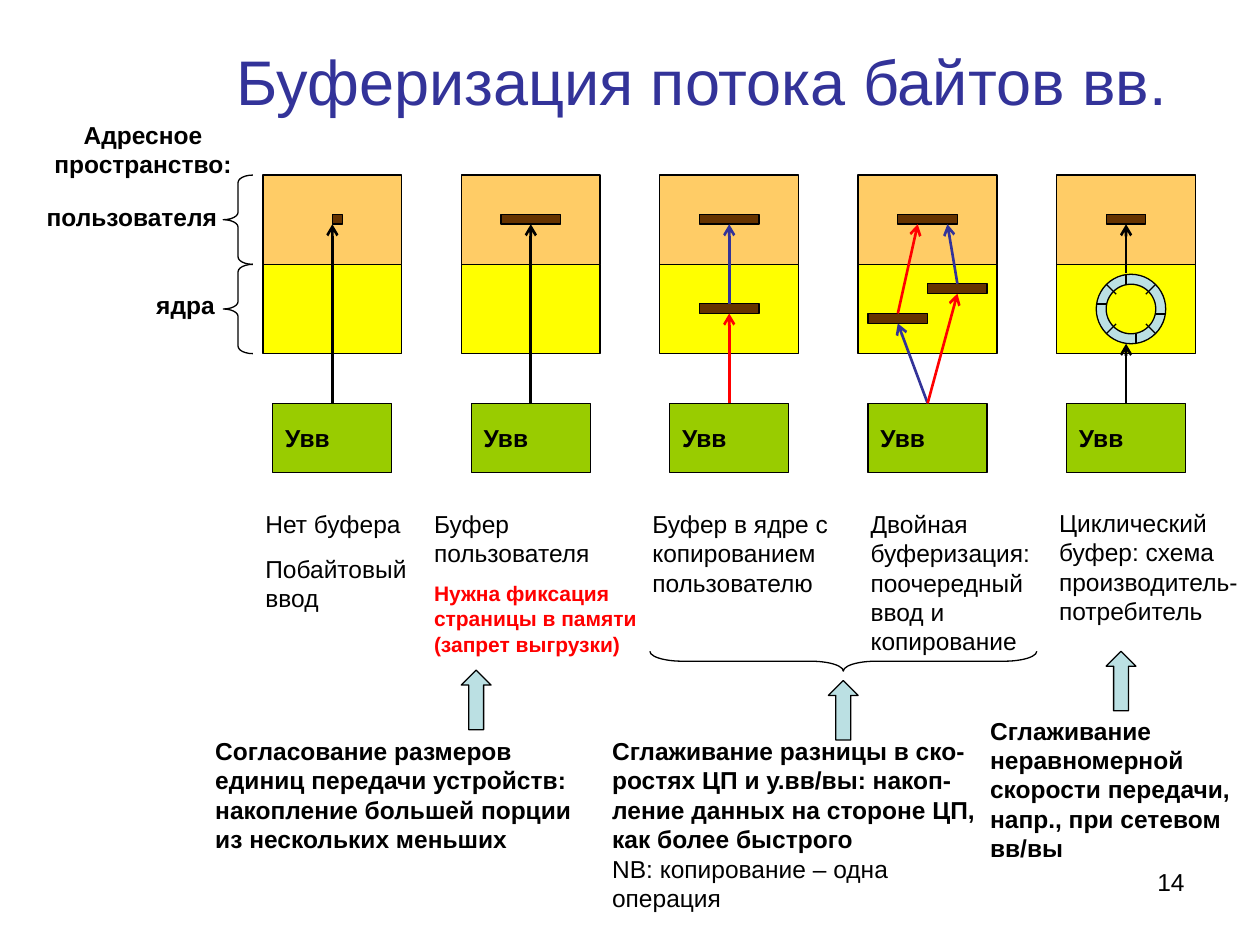
import pptx
import pptx.util
import pptx.dml.color
import pptx.enum.shapes
import pptx.enum.text
import pptx.oxml.ns
import lxml.etree

Cm, Pt = pptx.util.Cm, pptx.util.Pt
SHAPE = pptx.enum.shapes.MSO_SHAPE
ALIGN = pptx.enum.text.PP_ALIGN

THEME = {
    "font": "Arial", "title_size": 36, "text_size": 14, "note_size": 12,
    "title": "333399", "text": "000000", "line": "000000", "warning": "FF0000",
    "user": "FFCC66", "kernel": "FFFF00", "buffer": "663300",
    "device": "99CC00", "accent": "BBE0E3", "first": "FF0000", "second": "333399",
    "thin": 0.75, "thick": 1.5,
}

TITLE = "Буферизация потока байтов вв."
DEVICE = "Увв"
SLIDE_NUMBER = "14"

COLUMNS, FIRST_CENTER, COLUMN_STEP = 5, 6.7, 4
SPACE_WIDTH, SPACE_HEIGHT = 2.8, 1.8
USER_TOP = 3.53
KERNEL_TOP = USER_TOP + SPACE_HEIGHT
DEVICE_TOP, DEVICE_WIDTH, DEVICE_HEIGHT = 8.13, 2.4, 1.4
BUFFER_TOP, BUFFER_HEIGHT = 4.32, 0.2
BUFFER_BOTTOM = BUFFER_TOP + BUFFER_HEIGHT
RING_SHIFT, RING_MIDDLE, RING_OUTER, RING_INNER = 0.1, 6.23, 1.4, 1

# name: column, shift from the column center, top, width
BUFFERS = {
    "byte": (0, 0.1, BUFFER_TOP, 0.2),
    "user": (1, 0, BUFFER_TOP, 1.2),
    "copy target": (2, 0, BUFFER_TOP, 1.2),
    "kernel": (2, 0, 6.12, 1.2),
    "double target": (3, 0, BUFFER_TOP, 1.2),
    "left": (3, -0.6, 6.32, 1.2),
    "right": (3, 0.6, 5.72, 1.2),
    "cyclic target": (4, 0, BUFFER_TOP, 0.8),
}

RING_TICKS = [
    (0, -0.7, 0, -0.5), (0.2, 0.5, 0.2, 0.7),
    (-0.6, -0.1, -0.4, -0.1), (0.6, 0.1, 0.8, 0.1),
    (-0.2, 0.3, -0.4, 0.5), (0.6, -0.5, 0.4, -0.3),
    (-0.4, -0.5, -0.2, -0.3), (0.4, 0.3, 0.6, 0.5),
]

# column, source, target, color; ends are part names or (shift, height) points
FLOWS = [
    (0, "device", (0, BUFFER_BOTTOM), "line"),
    (1, "device", "user", "line"),
    (2, "device", "kernel", "first"),
    (2, "kernel", "copy target", "second"),
    (3, "device", "left", "second"),
    (3, "device", "right", "first"),
    (3, "left", (-0.2, BUFFER_BOTTOM), "first"),
    (3, "right", (0.4, BUFFER_BOTTOM), "second"),
    (4, "device", (0, 6.93), "line"),
    (4, (0, 5.51), "cyclic target", "line"),
]

# box, paragraphs, bold, alignment, wrapping
LABELS = [
    ((0.69, 2.29, 4.39, 1.45), ["Адресное пространство:"], True, ALIGN.CENTER, True),
    ((0.69, 3.94, 3.96, 0.86), ["пользователя"], True, ALIGN.LEFT, False),
    ((2.9, 5.72, 2, 0.86), ["ядра"], True, ALIGN.LEFT, True),
    ((5.1, 10.13, 3.81, 2.34), ["Нет буфера", "Побайтовый ввод"], False, ALIGN.LEFT, True),
    ((12.9, 10.13, 4.19, 2.03), ["Буфер в ядре с копированием пользователю"],
     False, ALIGN.LEFT, True),
    ((17.3, 10.13, 4.19, 3.23), ["Двойная буферизация: поочередный ввод и копирование"],
     False, ALIGN.LEFT, True),
    ((21.1, 10.11, 4.19, 2.64), ["Циклический буфер: схема производитель-потребитель"],
     False, ALIGN.LEFT, True),
    ((19.71, 14.3, 5.41, 3.23),
     ["Сглаживание неравномерной скорости передачи, напр., при сетевом вв/вы"],
     True, ALIGN.LEFT, True),
    ((4.09, 14.71, 8, 2.64),
     ["Согласование размеров единиц передачи устройств: накопление большей порции "
      "из нескольких меньших"], True, ALIGN.LEFT, True),
    ((18.21, 17.35, 5.92, 1.32), [SLIDE_NUMBER], False, ALIGN.RIGHT, True),
]
USER_CAPTION = ((8.5, 10.13, 4.6, 3.23), [
    "Буфер пользователя", "Нужна фиксация страницы в памяти (запрет выгрузки)"])
SPEED_GOAL = ((12.09, 14.71, 8.2, 3.81), [
    "Сглаживание разницы в ско-ростях ЦП и у.вв/вы: накоп-ление данных на стороне ЦП, "
    "как более быстрого", "NB: копирование – одна операция"])

GOAL_ARROWS = [(22.3, 13.13), (9.3, 13.51), (16.7, 13.72)]


def color(name):
    return pptx.dml.color.RGBColor.from_string(THEME[name])


def center(column):
    return FIRST_CENTER + COLUMN_STEP * column


def style(paragraph, bold=False, size="text_size", ink="text"):
    font = paragraph.font
    font.name, font.size, font.bold = THEME["font"], Pt(THEME[size]), bold
    font.color.rgb = color(ink)


def add_part(slide, kind, box, fill=None):
    part = slide.shapes.add_shape(kind, *map(Cm, box))
    part.shadow.inherit = False
    part.line.color.rgb = color("line")
    part.line.width = Pt(THEME["thin"])
    if fill:
        part.fill.solid()
        part.fill.fore_color.rgb = color(fill)
    else:
        part.fill.background()
    return part


def add_line(slide, ends, ink="line", width="thin"):
    line = slide.shapes.add_connector(
        pptx.enum.shapes.MSO_CONNECTOR.STRAIGHT, *map(Cm, ends))
    line.line.color.rgb = color(ink)
    line.line.width = Pt(THEME[width])
    lxml.etree.SubElement(line._element.spPr, pptx.oxml.ns.qn("a:effectLst"))
    return line


def add_flow(slide, parts, column, source, target, ink):
    points = [(0, 0) if isinstance(end, str) else (center(column) + end[0], end[1])
              for end in (source, target)]
    flow = add_line(slide, points[0] + points[1], ink, "thick")
    if isinstance(source, str):
        flow.begin_connect(parts[column, source], 0)
    if isinstance(target, str):
        flow.end_connect(parts[column, target], 2)
    head = lxml.etree.SubElement(flow.line._get_or_add_ln(), pptx.oxml.ns.qn("a:tailEnd"))
    head.set("type", "arrow")


def add_label(slide, box, texts, bold=False, align=ALIGN.LEFT, wrap=True):
    frame = slide.shapes.add_textbox(*map(Cm, box)).text_frame
    frame.word_wrap = wrap
    frame.text = "\n".join(texts)
    for index, paragraph in enumerate(frame.paragraphs):
        style(paragraph, bold)
        paragraph.alignment = align
        if index:
            paragraph.space_before = Pt(8.8)
    return frame.paragraphs


def add_brace(slide, kind, box, curve):
    brace = add_part(slide, kind, box)
    brace.adjustments[0] = curve
    return brace


def add_ring(slide):
    middle = center(4) + RING_SHIFT
    for size, fill in ((RING_OUTER, "accent"), (RING_INNER, "kernel")):
        add_part(slide, SHAPE.OVAL,
                 (middle - size / 2, RING_MIDDLE - size / 2, size, size), fill)
    for x1, y1, x2, y2 in RING_TICKS:
        add_line(slide, (center(4) + x1, RING_MIDDLE + y1, center(4) + x2, RING_MIDDLE + y2))


def add_scheme(slide):
    parts = {}
    for column in range(COLUMNS):
        left = center(column) - SPACE_WIDTH / 2
        for top, fill in ((USER_TOP, "user"), (KERNEL_TOP, "kernel")):
            add_part(slide, SHAPE.RECTANGLE, (left, top, SPACE_WIDTH, SPACE_HEIGHT), fill)
        device = add_part(slide, SHAPE.RECTANGLE, (
            center(column) - DEVICE_WIDTH / 2, DEVICE_TOP, DEVICE_WIDTH, DEVICE_HEIGHT), "device")
        device.text_frame.text = DEVICE
        style(device.text_frame.paragraphs[0], bold=True)
        parts[column, "device"] = device
    for name, (column, shift, top, width) in BUFFERS.items():
        left = center(column) + shift - width / 2
        parts[column, name] = add_part(
            slide, SHAPE.RECTANGLE, (left, top, width, BUFFER_HEIGHT), "buffer")
    add_ring(slide)
    for flow in FLOWS:
        add_flow(slide, parts, *flow)


def main():
    deck = pptx.Presentation()
    deck.slide_width, deck.slide_height = Cm(25.4), Cm(19.05)
    slide = deck.slides.add_slide(deck.slide_layouts[5])

    title = slide.shapes.title
    title.left, title.top, title.width, title.height = map(Cm, (2.6, -0.28, 23.1, 3.81))
    title.text_frame.text = TITLE
    title.text_frame.vertical_anchor = pptx.enum.text.MSO_ANCHOR.MIDDLE
    title.text_frame.paragraphs[0].alignment = ALIGN.CENTER
    style(title.text_frame.paragraphs[0], size="title_size", ink="title")

    add_scheme(slide)
    for top in (USER_TOP, KERNEL_TOP):
        add_brace(slide, SHAPE.LEFT_BRACE, (4.5, top, 0.6, SPACE_HEIGHT), 0.25)
    add_brace(slide, SHAPE.RIGHT_BRACE, (16.8, 9.43, 0.4, 7.8), 1.64).rotation = 90

    for label in LABELS:
        add_label(slide, *label)
    warning = add_label(slide, *USER_CAPTION)[1]
    style(warning, True, "note_size", "warning")
    warning.space_before = Pt(7.5)
    remark = add_label(slide, *SPEED_GOAL, bold=True)[1]
    style(remark)
    remark.space_before = Pt(0)

    for left, top in GOAL_ARROWS:
        add_part(slide, SHAPE.UP_ARROW, (left, top, 0.6, 1.2), "accent")
    deck.save("out.pptx")


if __name__ == "__main__":
    main()
